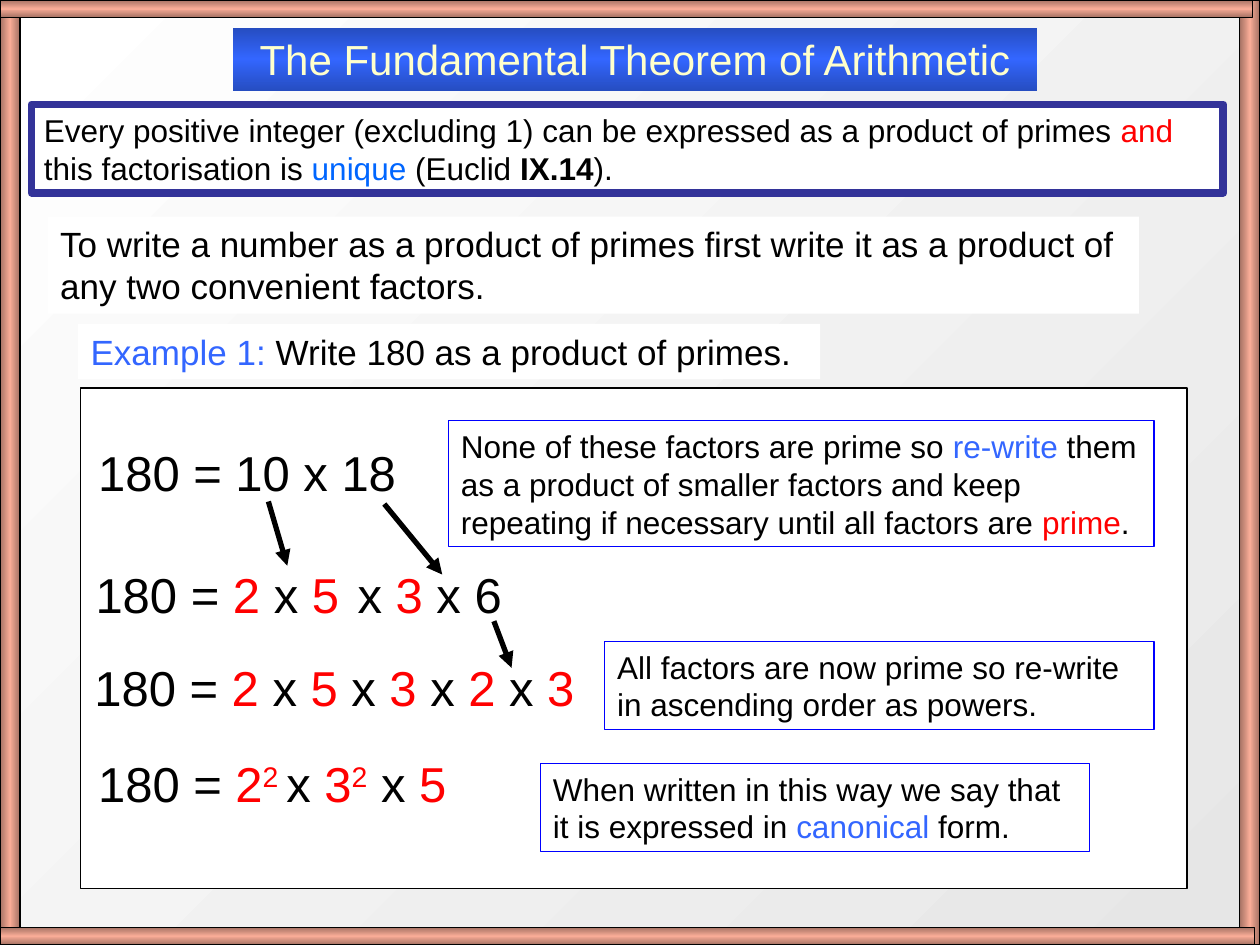
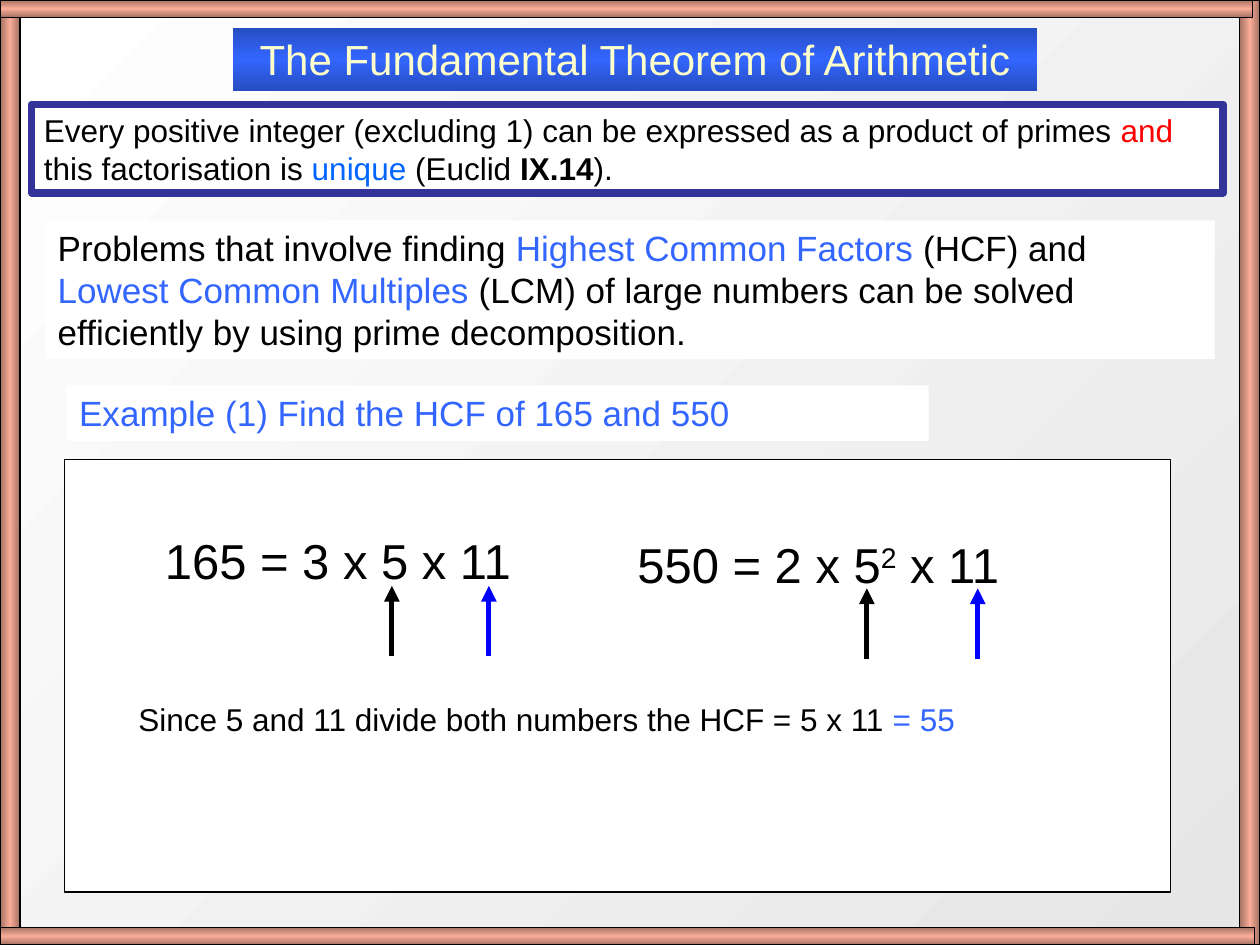
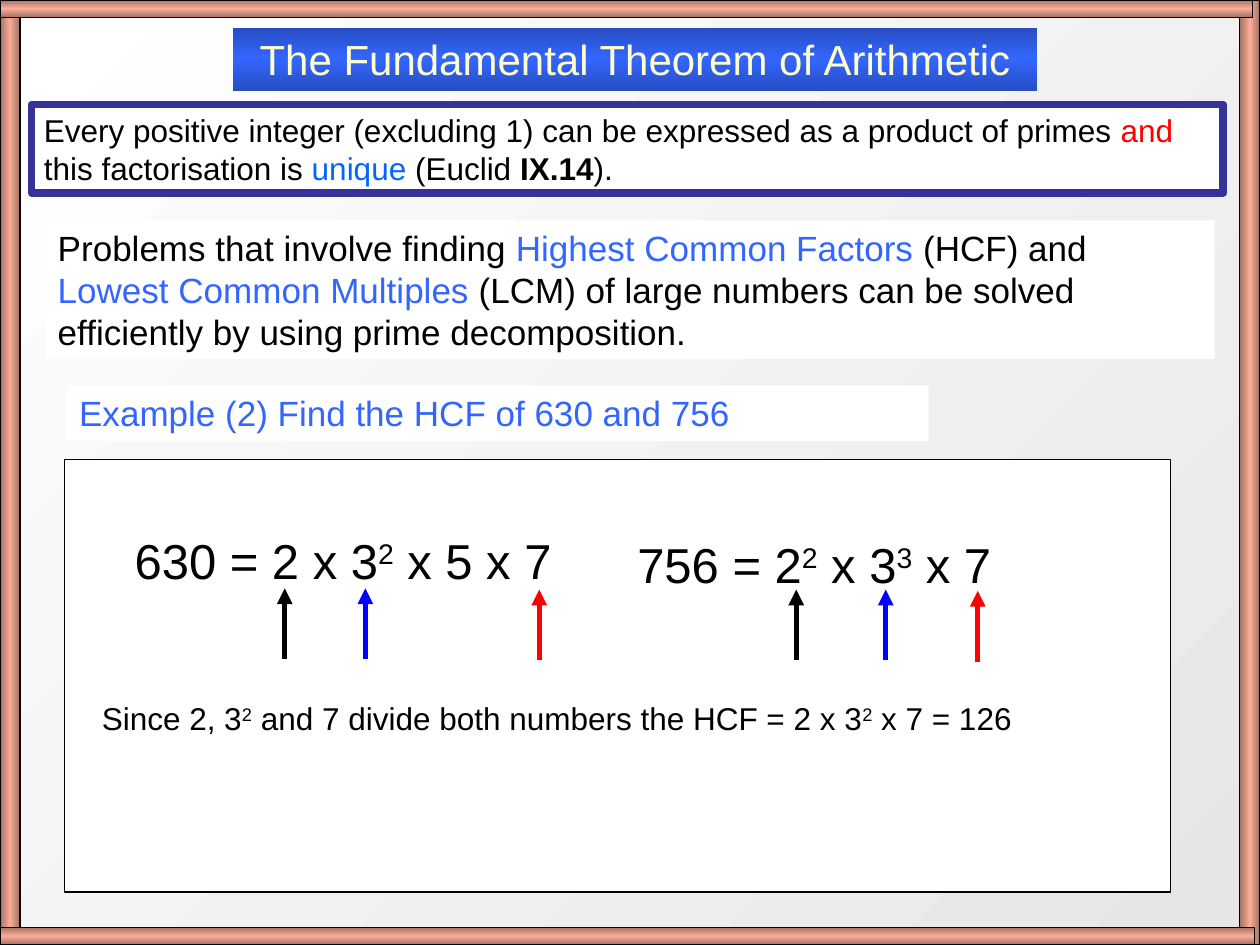
import copy

import pptx
import pptx.dml.color
import pptx.enum.shapes
import pptx.enum.text
import pptx.oxml
import pptx.util

RGB = pptx.dml.color.RGBColor
BLACK = RGB(0x00, 0x00, 0x00)
WHITE = RGB(0xFF, 0xFF, 0xFF)
RED = RGB(0xFF, 0x00, 0x00)
BLUE = RGB(0x00, 0x00, 0xFF)
SKY = RGB(0x33, 0x66, 0xFF)
AZURE = RGB(0x00, 0x66, 0xFF)
NAVY = RGB(0x33, 0x33, 0x99)
DEEP = RGB(0x26, 0x4D, 0xC1)
CREAM = RGB(0xFF, 0xFF, 0xCC)
GREY = RGB(0xE6, 0xE6, 0xE6)
CLAY = RGB(0xA4, 0x71, 0x63)
PEACH = RGB(0xF9, 0xAC, 0x97)

# The slide is a grid of 100 columns and 75 rows
COLS, ROWS = 100, 75
CELL = pptx.util.Inches(0.1)
FACE = "Arial"
SMALL, BODY, HEAD, MATH = 18, 20, 24, 28
RISE = 5.6  # rows that an upright arrow spans

ALIGN = pptx.enum.text.PP_ALIGN
UP = {"up": True}


def red(text):
    return text, {"hue": RED}


def sky(text):
    return text, {"hue": SKY}


def grid(*cells):
    return [round(cell * CELL) for cell in cells]


def shade(fill, hues, angle):
    """Fill with evenly spaced hues; the angle runs anticlockwise."""
    fill.gradient()
    fill.gradient_angle = angle
    stops = fill.gradient_stops[0]._gs.getparent()
    while len(stops) < len(hues):
        stops.append(copy.deepcopy(stops[0]))
    for i, (stop, hue) in enumerate(zip(fill.gradient_stops, hues)):
        stop.color.rgb = hue
        stop.position = i / (len(hues) - 1)


def write(shape, runs, size, hue=BLACK, align=ALIGN.LEFT):
    """Put runs, each a string or a (string, format) pair, in one paragraph."""
    frame = shape.text_frame
    form = {
        "word_wrap": True,
        "auto_size": pptx.enum.text.MSO_AUTO_SIZE.SHAPE_TO_FIT_TEXT,
        "vertical_anchor": pptx.enum.text.MSO_ANCHOR.TOP,
    }
    for key, value in form.items():
        setattr(frame, key, value)
    para = frame.paragraphs[0]
    para.alignment = align
    for item in runs:
        text, look = (item, {}) if isinstance(item, str) else item
        run = para.add_run()
        run.text = text
        font = {"name": FACE, "size": pptx.util.Pt(size), "bold": look.get("bold", False)}
        for key, value in font.items():
            setattr(run.font, key, value)
        run.font.color.rgb = look.get("hue", hue)
        if look.get("up"):
            run._r.get_or_add_rPr().set("baseline", "30000")


def box(slide, at, fill=None, line=None, width=0.75):
    kind = pptx.enum.shapes.MSO_SHAPE.RECTANGLE
    shape = slide.shapes.add_shape(kind, *grid(*at))
    shape.shadow.inherit = False
    if fill is None:
        shape.fill.background()
    else:
        shape.fill.solid()
        shape.fill.fore_color.rgb = fill
    if line is None:
        shape.line.fill.background()
    else:
        shape.line.color.rgb = line
        shape.line.width = pptx.util.Pt(width)
    return shape


def label(slide, at, runs, size=BODY):
    write(box(slide, at, WHITE), runs, size)


def note(slide, at, runs):
    write(box(slide, at, line=BLUE), runs, SMALL)


def words(slide, at, runs, size=MATH):
    write(slide.shapes.add_textbox(*grid(*at)), runs, size)


def arrow(slide, start, end, hue=BLACK):
    kind = pptx.enum.shapes.MSO_CONNECTOR.STRAIGHT
    line = slide.shapes.add_connector(kind, *grid(*start, *end))
    line.line.color.rgb = hue
    line.line.width = pptx.util.Pt(3)
    ns = pptx.oxml.ns.qn
    tip = line.line._get_or_add_ln().makeelement(ns("a:tailEnd"), {"type": "triangle"})
    line.line._get_or_add_ln().append(tip)
    props = line._element.spPr
    props.append(props.makeelement(ns("a:effectLst"), {}))


def rises(slide, marks):
    """Upright arrows, given as (column, row of the tip, hue)."""
    for col, top, hue in marks:
        arrow(slide, (col, top + RISE), (col, top), hue)


def border(slide):
    side, edge = 1.6, 1.4
    bars = [
        ((0, 0, side, ROWS), 180),
        ((COLS - side, 0, side, ROWS), 180),
        ((0, 0, 99.4, edge), 90),
        ((0, ROWS - edge, 99.6, edge), 90),
    ]
    for at, angle in bars:
        bar = box(slide, at, line=BLACK)
        shade(bar.fill, (CLAY, PEACH, CLAY), angle)


def start(deck, panel):
    """A slide with the work panel, title band, theorem and border."""
    slide = deck.slides.add_slide(deck.slide_layouts[6])
    box(slide, panel, WHITE, BLACK)
    band = box(slide, (18.5, 2.2, 63.8, 5))
    shade(band.fill, (DEEP, SKY, DEEP), 90)
    write(band, ["The Fundamental Theorem of Arithmetic"], HEAD, CREAM, ALIGN.CENTER)
    rule = box(slide, (2.5, 8.3, 94.6, 7), WHITE, NAVY, 4.5)
    write(rule, [
        "Every positive integer (excluding 1) can be expressed as a product of primes ",
        red("and"), " this factorisation is ", ("unique ", {"hue": AZURE}),
        "(Euclid ", ("IX.14", {"bold": True}), ").",
    ], SMALL)
    border(slide)
    return slide


def primes(deck):
    slide = start(deck, (6.4, 30.8, 87.8, 39.7))
    label(slide, (3.8, 17.2, 86.6, 7.7), [
        "To write a number as a product of primes first write it as a product of "
        "any two convenient factors."])
    label(slide, (6.2, 25.7, 58.9, 4.4),
          [sky("Example 1: "), "Write 180 as a product of primes."])

    # Steps of the working
    steps = [
        ((6.8, 34.6, 28.9, 5.7), ["180 = 10 x 18"]),
        ((6.6, 44.3, 21.9, 5.7), ["180 = ", red("2"), " x ", red("5")]),
        ((27.4, 44.3, 18.7, 5.7), ["x ", red("3"), " x 6"]),
        ((6.5, 51.7, 44.9, 5.7), [
            "180 = ", red("2"), " x ", red("5"), " x ", red("3"), " x ",
            red("2"), " x ", red("3")]),
        ((6.8, 59.3, 44.9, 5.7), [
            "180 = ", red("2"), ("2 ", {"hue": RED, "up": True}), "x ",
            red("3"), ("2", {"hue": RED, "up": True}), " x ", red("5")]),
    ]
    for at, runs in steps:
        words(slide, at, runs)
    for tail, tip in [((21.3, 39.8), (22.8, 44.9)),
                      ((30.5, 40), (35.1, 45.6)),
                      ((39.2, 49.3), (40.6, 53))]:
        arrow(slide, tail, tip)

    # Remarks beside the steps
    note(slide, (35.6, 33.4, 56, 10), [
        "None of these factors are prime so ", sky("re-write"),
        " them as a product of smaller factors and keep repeating if necessary "
        "until all factors are ", red("prime"), "."])
    note(slide, (48, 50.9, 43.6, 7),
         ["All factors are now prime so re-write in ascending order as powers."])
    note(slide, (42.9, 60.6, 43.6, 7), [
        "When written in this way we say that it is expressed in ",
        sky("canonical"), " form."])


def common(deck, task, left, right, close, marks):
    """A worked HCF; left, right and close are (column, row, width, runs)."""
    slide = start(deck, (5.1, 36.5, 87.8, 34.3))
    label(slide, (5.3, 30.6, 68.4, 4.4), [sky(task)])
    label(slide, (3.6, 17.5, 92.8, 11), [
        "Problems that involve finding ", sky("Highest Common Factors"),
        " (HCF) and ", sky("Lowest Common Multiples"),
        " (LCM) of large numbers can be solved efficiently by using prime decomposition."])
    for (col, row, wide, runs), tall, size in [
            (left, 5.7, MATH), (right, 5.7, MATH), (close, 4, SMALL)]:
        words(slide, (col, row, wide, tall), runs, size)
    rises(slide, marks)


def main():
    deck = pptx.Presentation()
    deck.slide_width, deck.slide_height = grid(COLS, ROWS)
    shade(deck.slide_master.background.fill, (GREY, WHITE), 135)
    two = ("2", UP)

    primes(deck)
    common(
        deck, "Example (1) Find the HCF of 165 and 550",
        (12.1, 41.6, 31.5, ["165 = 3 x 5 x 11"]),
        (49.6, 41.9, 31.5, ["550 = 2 x 5", two, " x 11"]),
        (10, 55.1, 78.3, [
            "Since 5 and 11 divide both numbers the HCF = 5 x 11", sky(" = 55")]),
        [(31.1, 46.5, BLACK), (68.8, 46.7, BLACK),
         (38.8, 46.5, BLUE), (77.6, 46.7, BLUE)])
    common(
        deck, "Example (2) Find the HCF of 630 and 756",
        (9.7, 41.6, 39.7, ["630 = 2 x 3", two, " x 5 x 7"]),
        (49.6, 41.9, 36.4, ["756 = 2", two, " x 3", ("3", UP), " x 7"]),
        (7.1, 55, 78.3, [
            "Since 2, 3", two, " and 7 divide both numbers the HCF = 2 x 3",
            two, " x 7 = 126"]),
        [(22.6, 46.7, BLACK), (63.2, 46.8, BLACK),
         (29, 46.7, BLUE), (70.3, 46.8, BLUE),
         (42.8, 46.8, RED), (77.6, 46.9, RED)])
    deck.save("out.pptx")


if __name__ == "__main__":
    main()
